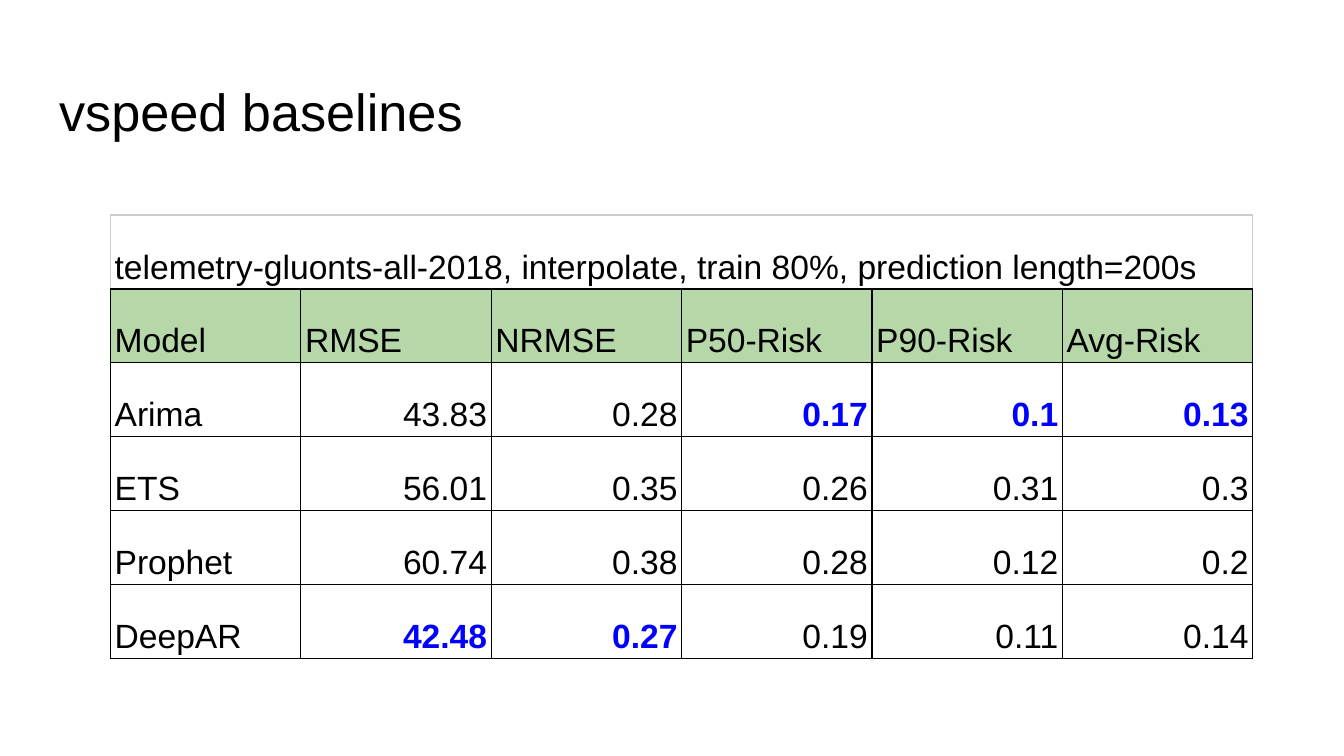
"""Build a slide with a table of baseline forecast scores."""
from dataclasses import dataclass

from lxml import etree
from pptx import Presentation
from pptx.dml.color import RGBColor
from pptx.enum import text
from pptx.oxml.ns import qn
from pptx.util import Pt

COLORS = {"ink": "000000", "best": "0000FF", "header": "B6D7A8",
          "paper": "FFFFFF", "pale": "CCCCCC"}
CAPTION = "telemetry-gluonts-all-2018, interpolate, train 80%, prediction length=200s"
HEADERS = ["Model", "RMSE", "NRMSE", "P50-Risk", "P90-Risk", "Avg-Risk"]
LEFT, TOP, COL_WIDTH, ROW_HEIGHT = 59.2, 115.2, 102, 39.6


@dataclass
class Score:
    model: str
    values: tuple[float, ...]


SCORES = [
    Score("Arima", (43.83, 0.28, 0.17, 0.1, 0.13)),
    Score("ETS", (56.01, 0.35, 0.26, 0.31, 0.3)),
    Score("Prophet", (60.74, 0.38, 0.28, 0.12, 0.2)),
    Score("DeepAR", (42.48, 0.27, 0.19, 0.11, 0.14)),
]


@dataclass
class CellFormat:
    fill: str = "paper"
    color: str = "ink"
    bold: bool = False
    align: text.PP_ALIGN = text.PP_ALIGN.LEFT
    side: str = "ink"
    top: str = "ink"


def apply(target: object, values: dict) -> None:
    """Set every attribute in values on target."""
    for name, value in values.items():
        setattr(target, name, value)


def write(p, content: str, size: float, color: str, bold: bool = False) -> None:
    """Add one Arial run to a paragraph."""
    r = p.add_run()
    r.text = content
    apply(r.font, {"name": "Arial", "size": Pt(size), "bold": bold})
    r.font.color.rgb = RGBColor.from_string(COLORS[color])


def set_borders(cell, side: str, top: str) -> None:
    """Draw the four borders of a cell."""
    tc_pr = cell._tc.get_or_add_tcPr()
    edges = {"a:lnL": side, "a:lnR": side, "a:lnT": top, "a:lnB": "ink"}
    for i, (tag, color) in enumerate(edges.items()):
        ln = etree.Element(qn(tag), w=str(Pt(0.75)))
        fill = etree.SubElement(ln, qn("a:solidFill"))
        etree.SubElement(fill, qn("a:srgbClr"), val=COLORS[color])
        tc_pr.insert(i, ln)


def format_cell(cell, content: str, fmt: CellFormat) -> None:
    """Fill in and style one table cell."""
    apply(cell, {"margin_left": Pt(2.25), "margin_right": Pt(2.25),
                 "margin_top": Pt(1.5), "margin_bottom": Pt(1.5),
                 "vertical_anchor": text.MSO_ANCHOR.BOTTOM})
    cell.fill.solid()
    cell.fill.fore_color.rgb = RGBColor.from_string(COLORS[fmt.fill])
    set_borders(cell, fmt.side, fmt.top)
    p = cell.text_frame.paragraphs[0]
    apply(p, {"alignment": fmt.align, "line_spacing": 1.15})
    if content:
        write(p, content, 18, fmt.color, fmt.bold)


def add_title(s, content: str) -> None:
    """Place the slide title."""
    sp = s.shapes.title
    apply(sp, {"left": Pt(24.5), "top": Pt(35), "width": Pt(671), "height": Pt(45.1)})
    tf = sp.text_frame
    apply(tf, {"margin_left": Pt(7.2), "margin_right": Pt(7.2),
               "margin_top": Pt(7.2), "margin_bottom": Pt(7.2), "word_wrap": True,
               "auto_size": text.MSO_AUTO_SIZE.NONE,
               "vertical_anchor": text.MSO_ANCHOR.TOP})
    p = tf.paragraphs[0]
    p.alignment = text.PP_ALIGN.LEFT
    write(p, content, 28, "ink")


def add_scores(s) -> None:
    """Add the score table, marking the lowest value of each metric."""
    rows, cols = len(SCORES) + 2, len(HEADERS)
    table = s.shapes.add_table(rows, cols, Pt(LEFT), Pt(TOP), Pt(COL_WIDTH * cols),
                               Pt(ROW_HEIGHT * rows)).table
    apply(table, {"first_row": False, "horz_banding": False})
    table.cell(0, 0).merge(table.cell(0, cols - 1))
    best = [min(column) for column in zip(*(score.values for score in SCORES))]
    for col, header in enumerate(HEADERS):
        format_cell(table.cell(0, col), "" if col else CAPTION,
                    CellFormat(side="pale", top="pale"))
        format_cell(table.cell(1, col), header, CellFormat(fill="header"))
    for row, score in enumerate(SCORES, start=2):
        format_cell(table.cell(row, 0), score.model, CellFormat())
        for col, (value, low) in enumerate(zip(score.values, best), start=1):
            is_best = value == low
            format_cell(table.cell(row, col), str(value),
                        CellFormat(color="best" if is_best else "ink", bold=is_best,
                                   align=text.PP_ALIGN.RIGHT))


def main() -> None:
    """Create and save the presentation."""
    prs = Presentation()
    apply(prs, {"slide_width": Pt(720), "slide_height": Pt(405)})
    s = prs.slides.add_slide(prs.slide_layouts[5])
    add_title(s, "vspeed baselines")
    add_scores(s)
    prs.save("out.pptx")


if __name__ == "__main__":
    main()
